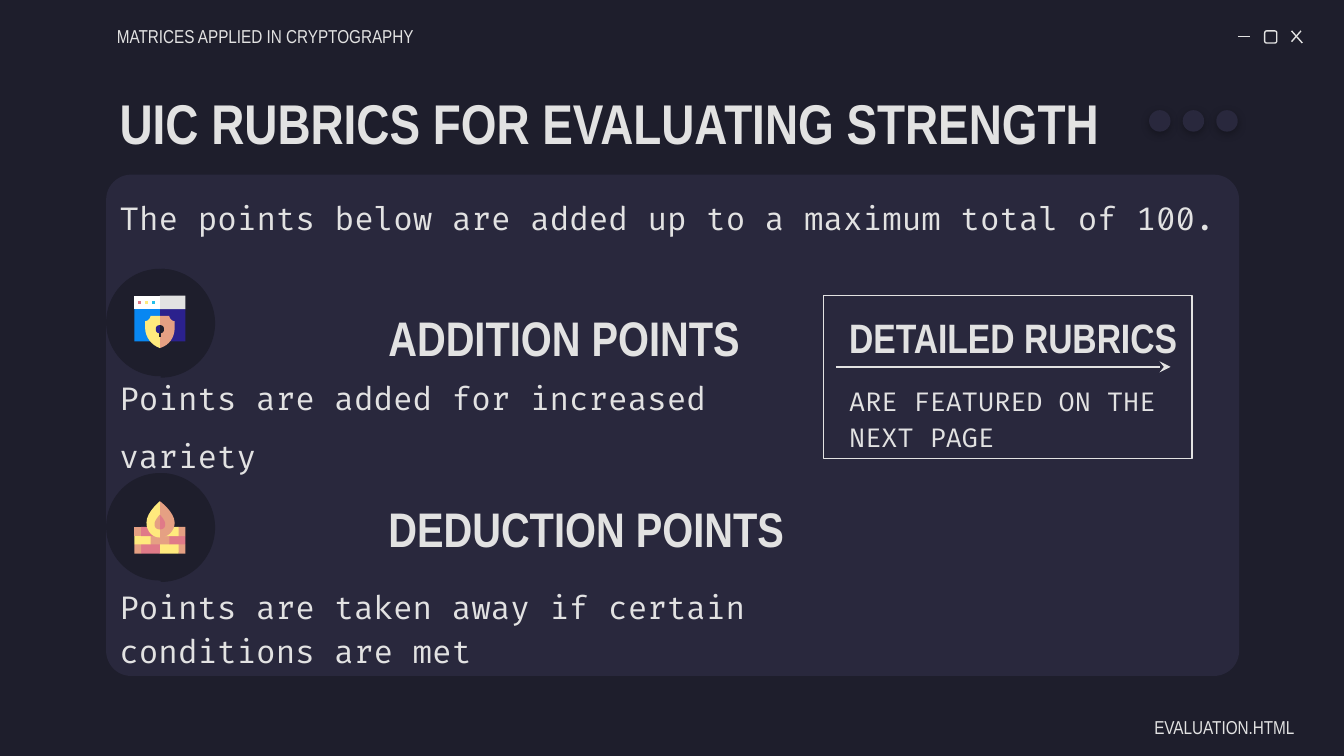
from lxml import etree
from pptx import Presentation
from pptx.dml.color import RGBColor
from pptx.enum.shapes import MSO_CONNECTOR, MSO_SHAPE as Shape
from pptx.enum.text import MSO_ANCHOR as Anchor, MSO_AUTO_SIZE, PP_ALIGN as Align
from pptx.oxml import parse_xml
from pptx.oxml.ns import qn
from pptx.util import Inches, Pt

color = RGBColor.from_string
NIGHT, PANEL, LIGHT = "1E1E2C", "29283D", "E2E2E2"
BLUE, NAVY, CYAN, WHITE = "0887F2", "2B218D", "24BFEB", "FFFFFF"
YELLOW, PEACH, PINK = "FFEA7D", "E5A083", "E07A88"
HEADING, CODE = "Arial Narrow", "Fira Code"

prs = Presentation()
prs.slide_width, prs.slide_height = Inches(10), Inches(10 * 9 / 16)
slide = prs.slides.add_slide(prs.slide_layouts[0])
slide.background.fill.solid()
slide.background.fill.fore_color.rgb = color(NIGHT)
shapes = slide.shapes


def write(text, box, size, font=CODE, bold=False, anchor=Anchor.TOP, align=Align.LEFT,
          spacing=1.0, left=0.1, right=0.1, holder=None):
    x, y, w, h = map(Inches, box)
    holder = holder or shapes.add_textbox(x, y, w, h)
    holder.left, holder.top, holder.width, holder.height = x, y, w, h
    frame = holder.text_frame
    frame.text = text
    frame.word_wrap = True
    frame.auto_size = MSO_AUTO_SIZE.NONE
    frame.vertical_anchor = anchor
    frame.margin_left, frame.margin_right = Inches(left), Inches(right)
    frame.margin_top = frame.margin_bottom = Inches(0.1)
    for paragraph in frame.paragraphs:
        paragraph.alignment = align
        paragraph.line_spacing = spacing
        paragraph.space_before = Pt(0)
        for run in paragraph.runs:
            run.font.name, run.font.size, run.font.bold = font, Pt(size), bold
            run.font.color.rgb = color(LIGHT)


def paint(shape, fill=None, line=None):
    shape.shadow.inherit = False
    if fill:
        shape.fill.solid()
        shape.fill.fore_color.rgb = color(fill)
    else:
        shape.fill.background()
    if line:
        shape.line.color.rgb = color(line)
        shape.line.width = Pt(0.75)
    else:
        shape.line.fill.background()
    return shape


panel = paint(shapes.add_shape(Shape.ROUNDED_RECTANGLE, Inches(0.79), Inches(1.3),
                               Inches(8.43), Inches(3.73)), PANEL)
panel.adjustments[0] = 0.05
shapes._spTree.insert(2, panel._element)

maximize = paint(shapes.add_shape(Shape.ROUNDED_RECTANGLE, Inches(9.41), Inches(0.23),
                                  Inches(0.09), Inches(0.09)), line=LIGHT)
maximize.adjustments[0] = 0.17
paint(shapes.add_shape(Shape.RECTANGLE, Inches(6.13), Inches(2.2),
                       Inches(2.74), Inches(1.21)), line=LIGHT)

write("The points below are added up to a maximum total of 100.",
      (0.79, 1.38, 8.43, 0.72), 17, holder=slide.placeholders[1])
write("UIC RUBRICS FOR EVALUATING STRENGTH", (0.79, 0.59, 8.43, 0.63), 30, HEADING,
      bold=True, anchor=Anchor.MIDDLE, holder=shapes.title)
for heading, top in (("ADDITION POINTS", 2.28), ("DEDUCTION POINTS", 3.7)):
    write(heading, (0.79, top, 5.43, 0.46), 26, HEADING, bold=True,
          anchor=Anchor.MIDDLE, left=2.1)
write("Points are added for increased variety", (0.79, 2.64, 5.43, 0.93), 17,
      anchor=Anchor.MIDDLE, spacing=1.5)
write("Points are taken away if certain conditions are met",
      (0.79, 4.23, 5.43, 0.67), 17, spacing=1.15)
write("DETAILED RUBRICS", (6.22, 2.28, 2.99, 0.46), 22, HEADING, bold=True,
      anchor=Anchor.MIDDLE)
write("ARE FEATURED ON THE\nNEXT PAGE", (6.22, 2.73, 2.99, 0.67), 14, spacing=1.15)

shield_window = [
    (NAVY, [(1.17, 2.29), (1.19, 2.54), (1.38, 2.54), (1.38, 2.3)]),
    (BLUE, [(1.19, 2.29), (1, 2.3), (1, 2.54), (1.19, 2.54)]),
    (LIGHT, [(1.19, 2.2), (1.17, 2.25), (1.19, 2.3), (1.38, 2.3), (1.38, 2.2)]),
    (WHITE, [(1, 2.2), (1, 2.3), (1.19, 2.3), (1.19, 2.2)]),
]
for x, tint in ((1.03, PINK), (1.08, YELLOW), (1.13, CYAN)):
    shield_window.append((tint, [(x, 2.24), (x, 2.26), (x + 0.02, 2.26), (x + 0.02, 2.24)]))
shield_window += [
    (PEACH, [(1.19, 2.35), (1.17, 2.49), (1.19, 2.59), (1.26, 2.57, 1.3, 2.51, 1.3, 2.44),
             (1.3, 2.39), (1.28, 2.39, 1.26, 2.37, 1.26, 2.35)]),
    (YELLOW, [(1.12, 2.35), (1.12, 2.37, 1.1, 2.39, 1.08, 2.39), (1.08, 2.44),
              (1.08, 2.51, 1.13, 2.57, 1.19, 2.59), (1.19, 2.35)]),
    (NIGHT, [(1.18, 2.47), (1.18, 2.51), (1.2, 2.51), (1.2, 2.47)]),
    (NIGHT, [(1.19, 2.42), (1.17, 2.45), (1.19, 2.48), (1.21, 2.48, 1.22, 2.47, 1.22, 2.45),
             (1.22, 2.43, 1.21, 2.42, 1.19, 2.42)]),
    (NAVY, [(1.19, 2.42), (1.17, 2.42, 1.16, 2.43, 1.16, 2.45),
            (1.16, 2.47, 1.17, 2.48, 1.19, 2.48)]),
]
firewall = [
    (PEACH, [(1.31, 4.04), (1.33, 4.12), (1.38, 4.12), (1.38, 4.05)]),
    (YELLOW, [(1.17, 4.04), (1.19, 4.12), (1.33, 4.12), (1.33, 4.04)]),
    (PINK, [(1.04, 4.04), (1.05, 4.12), (1.19, 4.12), (1.19, 4.04)]),
    (PEACH, [(1.05, 4.04), (1, 4.05), (1, 4.12), (1.05, 4.12)]),
    (PINK, [(1.25, 3.97), (1.26, 4.05), (1.38, 4.05), (1.38, 3.99)]),
    (PEACH, [(1.1, 3.97), (1.12, 4.05), (1.26, 4.05), (1.26, 3.97)]),
    (YELLOW, [(1.12, 3.97), (1, 3.99), (1, 4.05), (1.12, 4.05)]),
    (PEACH, [(1.33, 3.92), (1.31, 3.95), (1.33, 3.99), (1.38, 3.99), (1.38, 3.92)]),
    (YELLOW, [(1.19, 3.92), (1.17, 3.95), (1.19, 3.99), (1.33, 3.99), (1.33, 3.92)]),
    (PINK, [(1.05, 3.92), (1.04, 3.95), (1.05, 3.99), (1.19, 3.99), (1.19, 3.92)]),
    (PEACH, [(1, 3.92), (1, 3.99), (1.05, 3.99), (1.05, 3.92)]),
    (PEACH, [(1.19, 3.73), (1.17, 3.86), (1.19, 4), (1.25, 4, 1.3, 3.95, 1.3, 3.89),
             (1.3, 3.81, 1.19, 3.73, 1.19, 3.73)]),
    (YELLOW, [(1.19, 3.73), (1.19, 3.73, 1.09, 3.81, 1.09, 3.89),
              (1.09, 3.95, 1.13, 4, 1.19, 4)]),
    (PINK, [(1.19, 3.83), (1.17, 3.9), (1.19, 3.94), (1.21, 3.94, 1.23, 3.93, 1.23, 3.9),
            (1.23, 3.87, 1.19, 3.83, 1.19, 3.83)]),
    (PEACH, [(1.19, 3.83), (1.19, 3.83, 1.15, 3.87, 1.15, 3.9),
             (1.15, 3.93, 1.17, 3.94, 1.19, 3.94)]),
]
for badge_top, icon in ((2, shield_window), (3.52, firewall)):
    badge = shapes.add_group_shape().shapes
    paint(badge.add_shape(Shape.OVAL, Inches(0.79), Inches(badge_top),
                          Inches(0.8), Inches(0.8)), NIGHT)
    sector = paint(badge.add_shape(Shape.PIE, Inches(0.79), Inches(badge_top),
                                   Inches(0.81), Inches(0.81)), NIGHT)
    sector.rotation = 180
    sector.adjustments[0], sector.adjustments[1] = 54.39, 162
    for tint, outline in icon:
        points = []
        for step in outline:
            if len(step) == 2:
                points.append(step)
                continue
            x0, y0 = points[-1]
            x1, y1, x2, y2, x3, y3 = step
            for t in (n / 8 for n in range(1, 9)):
                a, b, c, d = (1 - t) ** 3, 3 * t * (1 - t) ** 2, 3 * t * t * (1 - t), t ** 3
                points.append((a * x0 + b * x1 + c * x2 + d * x3,
                               a * y0 + b * y1 + c * y2 + d * y3))
        corners = [(Inches(x), Inches(y)) for x, y in points]
        builder = badge.build_freeform(*corners[0])
        builder.add_line_segments(corners[1:], close=True)
        paint(builder.convert_to_shape(), tint)

write("EVALUATION.HTML", (8.07, 5.2, 1.62, 0.3), 10, HEADING, align=Align.RIGHT,
      spacing=1.15, right=0.06)

for x in (9.05, 8.8, 8.55):
    dot = paint(shapes.add_shape(Shape.OVAL, Inches(x), Inches(0.82),
                                 Inches(0.16), Inches(0.16)), PANEL)
    dot._element.spPr.find(qn("a:effectLst")).append(parse_xml(
        '<a:outerShdw xmlns:a="http://schemas.openxmlformats.org/drawingml/2006/main"'
        ' blurRad="57150" dist="19050" dir="5400000" algn="bl" rotWithShape="0">'
        '<a:srgbClr val="000000"><a:alpha val="30000"/></a:srgbClr></a:outerShdw>'))

write("MATRICES APPLIED IN CRYPTOGRAPHY", (0.87, 0.12, 2.74, 0.3), 10, HEADING,
      anchor=Anchor.MIDDLE, left=0)

for x1, y1, x2, y2 in ((9.21, 0.27, 9.3, 0.27), (9.61, 0.23, 9.69, 0.32),
                       (9.68, 0.23, 9.61, 0.31), (6.22, 2.73, 8.71, 2.73)):
    stroke = shapes.add_connector(MSO_CONNECTOR.STRAIGHT, Inches(x1), Inches(y1),
                                  Inches(x2), Inches(y2))
    stroke.line.color.rgb = color(LIGHT)
    stroke.line.width = Pt(0.75)
    etree.SubElement(stroke._element.spPr, qn("a:effectLst"))
rubric_arrow = stroke
etree.SubElement(rubric_arrow.line._get_or_add_ln(), qn("a:tailEnd"), type="stealth")

prs.save("out.pptx")
